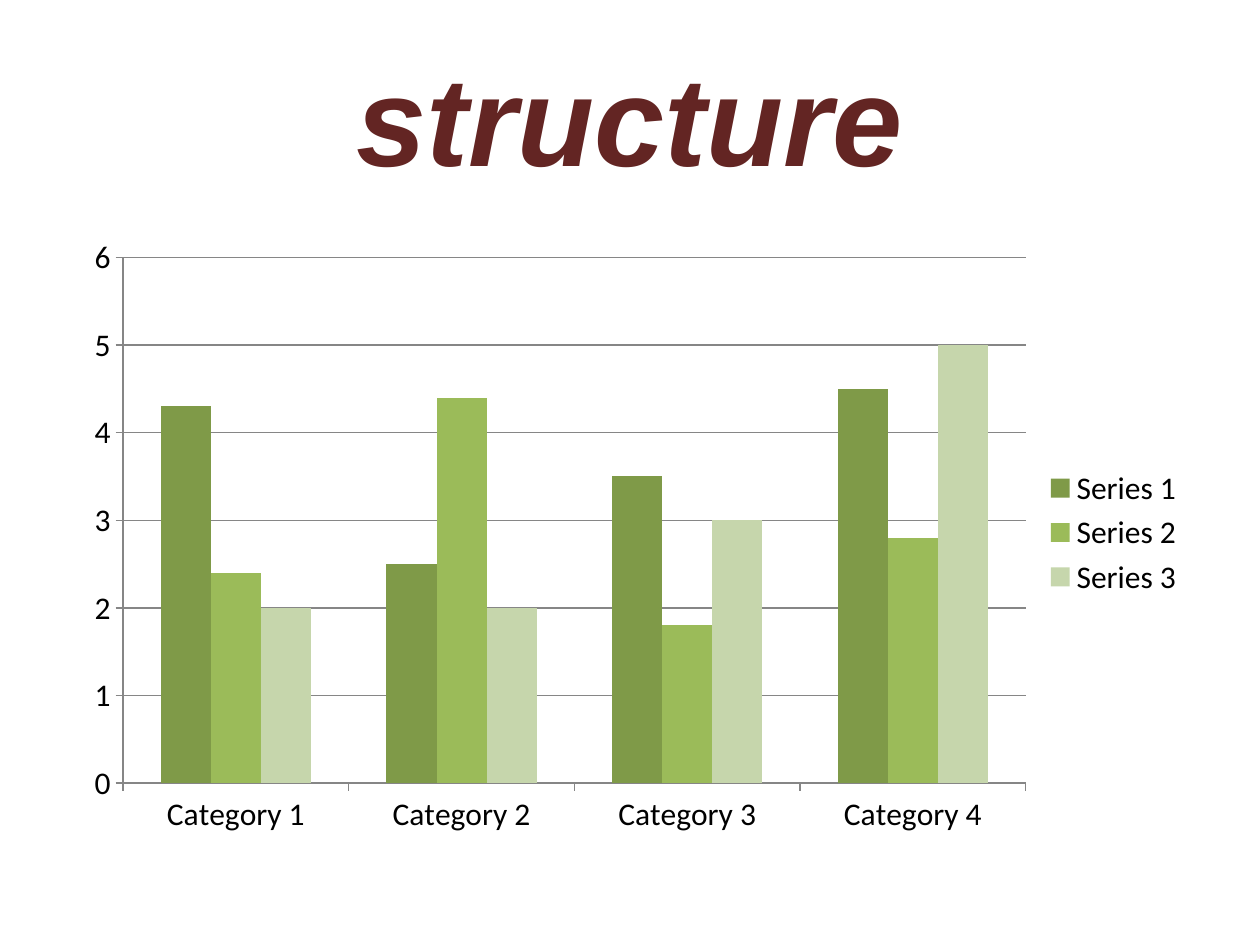
from lxml import etree
from pptx import Presentation
from pptx.chart.data import CategoryChartData
from pptx.dml.color import RGBColor
from pptx.enum.chart import XL_CHART_TYPE, XL_LEGEND_POSITION, XL_TICK_MARK
from pptx.enum.text import MSO_ANCHOR, PP_ALIGN
from pptx.oxml.ns import qn
from pptx.util import Cm, Pt

COLUMNS = XL_CHART_TYPE.COLUMN_CLUSTERED
LEGEND_RIGHT = XL_LEGEND_POSITION.RIGHT
TICK_OUTSIDE = XL_TICK_MARK.OUTSIDE
MIDDLE = MSO_ANCHOR.MIDDLE
CENTER = PP_ALIGN.CENTER

THEME = {
    "title": {"name": "Arial", "size": Pt(72), "bold": True, "italic": True},
    "title_color": RGBColor.from_string("632523"),
    "chart": {"name": "Calibri", "size": Pt(18)},
    "chart_color": RGBColor.from_string("000000"),
    "line_color": RGBColor.from_string("868686"),
    "series_colors": ["7F9A48", "9BBB59", "C6D6AC"],
}


def format_font(font, values, color):
    for attribute, value in values.items():
        setattr(font, attribute, value)
    font.color.rgb = color


presentation = Presentation()
presentation.slide_width = Cm(25.4)
presentation.slide_height = Cm(19.05)
slide = presentation.slides.add_slide(presentation.slide_layouts[5])

# Title
title = slide.shapes.title
title.left, title.top, title.width, title.height = Cm(1.27), Cm(0.76), Cm(22.86), Cm(3.18)
title.text_frame.text = "structure"
title.text_frame.vertical_anchor = MIDDLE
paragraph = title.text_frame.paragraphs[0]
paragraph.alignment = CENTER
format_font(paragraph.runs[0].font, THEME["title"], THEME["title_color"])

# Chart data
chart_data = CategoryChartData()
chart_data.categories = [f"Category {number}" for number in range(1, 5)]
series_values = [(4.3, 2.5, 3.5, 4.5), (2.4, 4.4, 1.8, 2.8), (2, 2, 3, 5)]
for number, values in enumerate(series_values, start=1):
    chart_data.add_series(f"Series {number}", values)

# Column chart
chart = slide.shapes.add_chart(
    COLUMNS, Cm(1.27), Cm(4.45), Cm(22.86), Cm(12.57), chart_data
).chart
chart.has_title = False
format_font(chart.font, THEME["chart"], THEME["chart_color"])
chart.has_legend = True
chart.legend.position = LEGEND_RIGHT
chart.legend.include_in_layout = False

plot = chart.plots[0]
plot.gap_width = 150
plot.overlap = 0
plot.vary_by_categories = False
for series, color in zip(plot.series, THEME["series_colors"]):
    series.format.fill.solid()
    series.format.fill.fore_color.rgb = RGBColor.from_string(color)

# Axes and gridlines
value_axis = chart.value_axis
value_axis.minimum_scale, value_axis.maximum_scale, value_axis.major_unit = 0, 6, 1
value_axis.has_major_gridlines = True
for axis in (chart.category_axis, value_axis):
    axis.major_tick_mark = TICK_OUTSIDE
for part in (chart.category_axis, value_axis, value_axis.major_gridlines):
    part.format.line.color.rgb = THEME["line_color"]
    part.format.line.width = Pt(0.75)

# Inner plot area, as fractions of the chart
plot_area = plot._element.getparent()
for old_layout in plot_area.findall(qn("c:layout")):
    plot_area.remove(old_layout)
layout = etree.Element(qn("c:layout"))
plot_area.insert(0, layout)
manual_layout = etree.SubElement(layout, qn("c:manualLayout"))
layout_values = {
    "layoutTarget": "inner", "xMode": "edge", "yMode": "edge",
    "x": 0.053, "y": 0.059, "w": 0.796, "h": 0.843,
}
for tag, value in layout_values.items():
    etree.SubElement(manual_layout, qn(f"c:{tag}")).set("val", str(value))

presentation.save("out.pptx")
